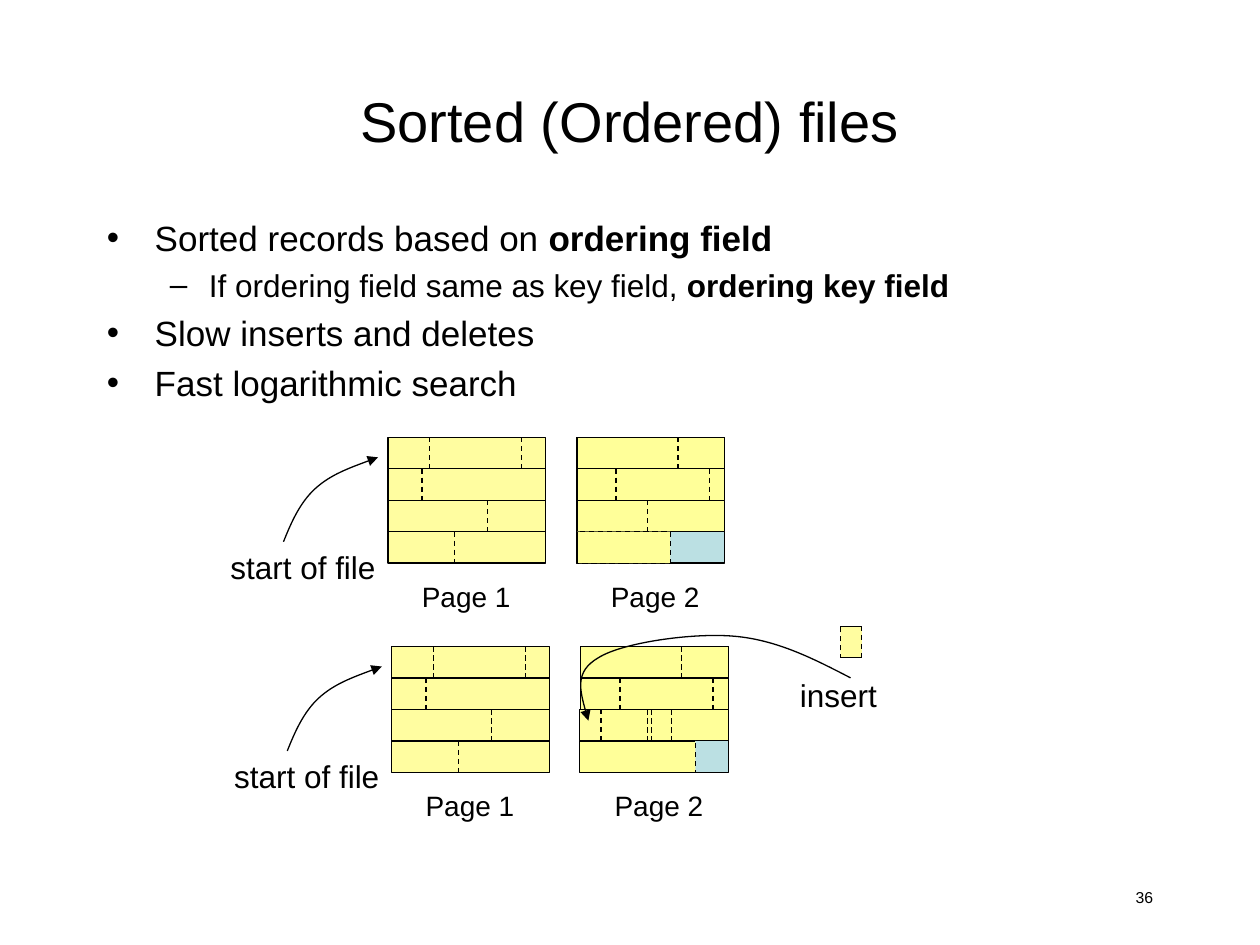
"""Build the slide on sorted files, with two file diagrams."""
import pptx
import pptx.util
import pptx.dml.color
import pptx.enum.dml
import pptx.enum.shapes
import pptx.enum.text
import pptx.oxml
import pptx.oxml.ns
from lxml import etree

Inches, Pt = pptx.util.Inches, pptx.util.Pt
RGBColor = pptx.dml.color.RGBColor
ALIGN = pptx.enum.text.PP_ALIGN
ANCHOR = pptx.enum.text.MSO_ANCHOR
DASH = pptx.enum.dml.MSO_LINE.DASH
qn = pptx.oxml.ns.qn

BLACK = RGBColor(0x00, 0x00, 0x00)
BLUE = RGBColor(0xBB, 0xE0, 0xE3)
YELLOW = RGBColor(0xFF, 0xFF, 0x99)
CREAM = RGBColor(0xFF, 0xFD, 0xA0)

TITLE = "Sorted (Ordered) files"
BULLETS = [
    (0, [("Sorted records based on ", False), ("ordering field", True)]),
    (1, [("If ordering field same as key field, ", False), ("ordering key field", True)]),
    (0, [("Slow inserts and deletes", False)]),
    (0, [("Fast logarithmic search", False)]),
]
LEVELS = [("•", 20, 0.38, -0.38, 4.6), ("–", 18, 0.81, -0.31, 4.1)]
ROW = 0.25
FILES = [(3.08, 3.47), (3.11, 5.13)]
CUTS_ONE = [(0, 0.33), (0, 1.06), (1, 0.27), (2, 0.79), (3, 0.53)]
CUTS_TWO = [(0, 0.8), (1, 0.31), (1, 1.05), (2, 0.56)]
WIDE_ONE, WIDE_TWO, STEP = 1.25, 1.17, 1.5
CURVE = [(-0.08, 0.16), (-0.27, 0.23), (-0.46, 0.3), (-0.58, 0.41),
         (-0.7, 0.52), (-0.77, 0.68), (-0.83, 0.83)]
INSERT = [(6.75, 5.38), (6.46, 5.23), (6.17, 5.08), (5.83, 5.05), (5.5, 5.02),
          (4.94, 5.1), (4.75, 5.22), (4.56, 5.33), (4.61, 5.52), (4.67, 5.72)]

deck = pptx.Presentation()
deck.slide_width, deck.slide_height = Inches(10), Inches(7.5)
slide = deck.slides.add_slide(deck.slide_layouts[6])
shapes = slide.shapes


def write(para, text, size, bold=False):
    run = para.add_run()
    run.text = text
    font = run.font
    font.name, font.size, font.bold = "Arial", Pt(size), bold
    font.color.rgb = BLACK


def frame(x, y, w, h, wrap=True):
    body = shapes.add_textbox(Inches(x), Inches(y), Inches(w), Inches(h)).text_frame
    body.word_wrap = wrap
    return body


def label(text, x, y, w, h, size):
    body = frame(x, y, w, h, False)
    body.auto_size = pptx.enum.text.MSO_AUTO_SIZE.SHAPE_TO_FIT_TEXT
    write(body.paragraphs[0], text, size)


def stroke(item, dash=False):
    item.line.color.rgb, item.line.width = BLACK, Pt(0.75)
    if dash:
        item.line.dash_style = DASH


def box(x, y, w, h, fill, dash=False):
    shape = shapes.add_shape(pptx.enum.shapes.MSO_SHAPE.RECTANGLE,
                             Inches(x), Inches(y), Inches(w), Inches(h))
    shape.shadow.inherit = False
    shape.fill.solid()
    shape.fill.fore_color.rgb = fill
    stroke(shape, dash)


def line(x1, y1, x2, y2, dash=False):
    link = shapes.add_connector(pptx.enum.shapes.MSO_CONNECTOR.STRAIGHT,
                                Inches(x1), Inches(y1), Inches(x2), Inches(y2))
    stroke(link, dash)
    etree.SubElement(link._element.spPr, qn("a:effectLst"))


def cut(x, y):
    line(x, y, x, y + ROW, True)


def arrow(points, end):
    spots = [(Inches(x), Inches(y)) for x, y in points]
    pen = shapes.build_freeform(*spots[0], scale=1.0)
    pen.add_line_segments(spots[1:], close=False)
    shape = pen.convert_to_shape()
    shape.shadow.inherit = False
    shape.fill.background()
    stroke(shape)
    legs = list(shape._element.iter(qn("a:lnTo")))
    for i in range(0, len(legs), 3):
        bend = etree.SubElement(legs[i].getparent(), qn("a:cubicBezTo"))
        for leg in legs[i:i + 3]:
            bend.append(leg[0])
            leg.getparent().remove(leg)
    etree.SubElement(shape.line._get_or_add_ln(), qn("a:" + end), type="triangle")


def draw_file(x, y):
    right = x + STEP
    box(right, y, WIDE_TWO, 4 * ROW, BLUE)
    for row in range(3):
        box(right, y + row * ROW, WIDE_TWO, ROW, YELLOW)
    box(right, y + 3 * ROW, 0.74, ROW, YELLOW, True)
    line(right, y + 3 * ROW, right, y + 4 * ROW)
    for row, dx in CUTS_TWO:
        cut(right + dx, y + row * ROW)
    for page in range(2):
        label(f"Page {page + 1}", x + 0.17 + page * STEP, y + 1.08, 0.91, 0.37, 16)
    box(x, y, WIDE_ONE, 4 * ROW, CREAM)
    for row in range(1, 4):
        line(x, y + row * ROW, x + WIDE_ONE, y + row * ROW)
    for row, dx in CUTS_ONE:
        cut(x + dx, y + row * ROW)
    arrow([(x + dx, y + dy) for dx, dy in CURVE], "headEnd")
    label("start of file", x - 1.35, y + 0.83, 1.35, 0.4, 18)


def record(x, y, w, fill, left=True):
    box(x, y, w, ROW, fill, True)
    for edge in (y, y + ROW):
        line(x, edge, x + w, edge)
    if left:
        line(x, y, x, y + ROW)


number = frame(7.17, 7, 2.08, 0.33).paragraphs[0]
number.alignment = ALIGN.RIGHT
write(number, "36", 9)

head = frame(0.75, 0.33, 8.5, 1.25)
head.vertical_anchor = ANCHOR.MIDDLE
head.paragraphs[0].alignment = ALIGN.CENTER
write(head.paragraphs[0], TITLE, 32)

body = frame(0.75, 1.67, 8.5, 5.17)
for i, (level, runs) in enumerate(BULLETS):
    mark, size, left, first, gap = LEVELS[level]
    para = body.add_paragraph() if i else body.paragraphs[0]
    para.level, para.space_before = level, Pt(gap)
    props = para._p.get_or_add_pPr()
    props.set("marL", str(Inches(left)))
    props.set("indent", str(Inches(first)))
    etree.SubElement(props, qn("a:buFont"), typeface="Arial")
    etree.SubElement(props, qn("a:buChar"), char=mark)
    for text, bold in runs:
        write(para, text, size, bold)

for x, y in FILES:
    draw_file(x, y)

cut(5.14, 5.63)
record(4.6, 5.63, 0.17, CREAM)
cut(5.33, 5.63)
record(4.6, 5.88, 0.92, YELLOW)
record(6.67, 4.97, 0.17, CREAM, False)
arrow(INSERT, "tailEnd")
label("insert", 6.25, 5.32, 0.81, 0.4, 18)

deck.save("out.pptx")
